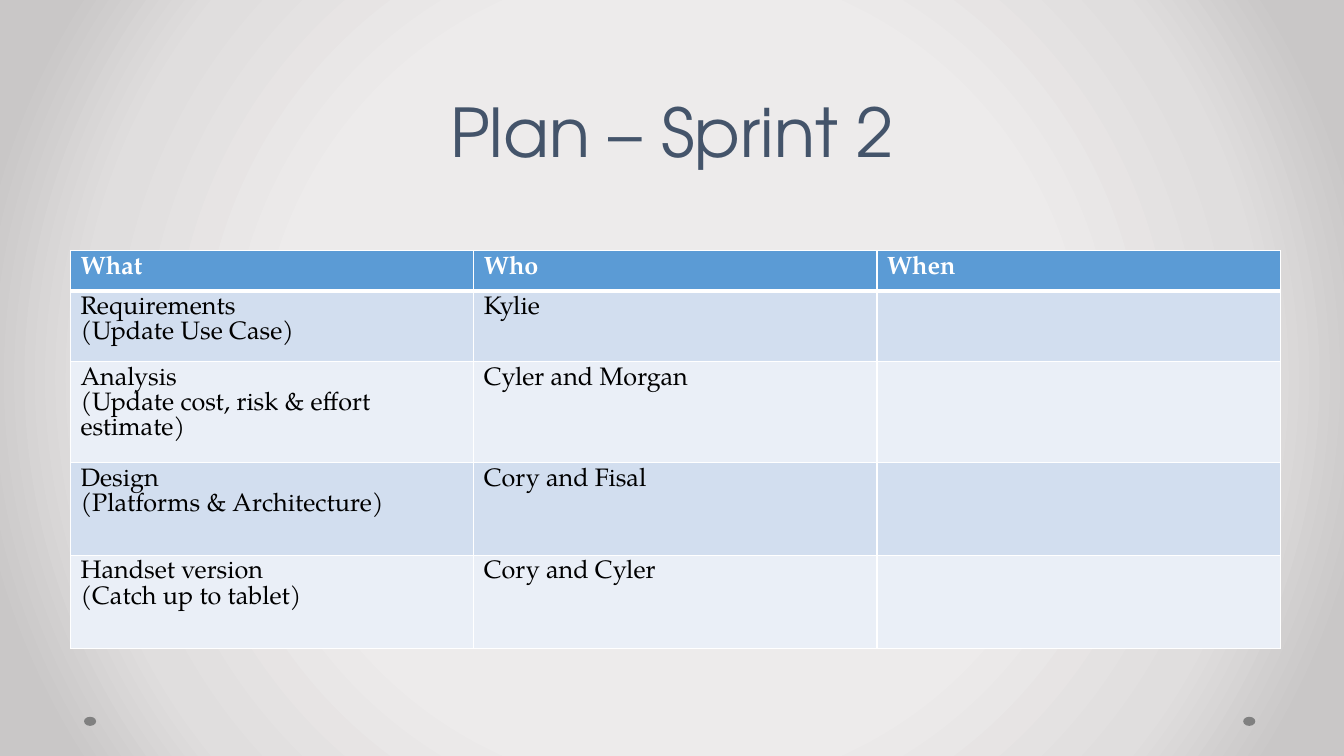
"""Build the sprint plan slide."""
import pptx
import pptx.dml.color
import pptx.enum.shapes
import pptx.enum.text
import pptx.oxml
import pptx.oxml.ns
import pptx.util

Pt = pptx.util.Pt
RGB = pptx.dml.color.RGBColor
WHITE = RGB(0xFF, 0xFF, 0xFF)
BLACK = RGB(0, 0, 0)
GRAY = RGB(0x80, 0x80, 0x80)
NAVY = RGB(0x44, 0x54, 0x6A)
BLUE = RGB(0x5B, 0x9B, 0xD5)
BANDS = (RGB(0xEA, 0xEF, 0xF7), RGB(0xD2, 0xDE, 0xEF))
GLOW = ((50, RGB(0xED, 0xEB, 0xEB)), (76, RGB(0xE0, 0xDE, 0xDE)),
        (92, RGB(0xC9, 0xC7, 0xC7)))
SPACE = pptx.oxml.ns.nsdecls("a", "p")

TITLE = {"name": "TeX Gyre Adventor", "size": Pt(48), "bold": False}
HEAD = {"name": "TeX Gyre Pagella", "size": Pt(18), "bold": True}
BODY = {**HEAD, "bold": False}

ROWS = (
    (26.64, ("What", "Who", "When")),
    (46.8, ("Requirements\n(Update Use Case)", "Kylie", "")),
    (66.96, ("Analysis\n(Update cost, risk & effort estimate)",
             "Cyler and Morgan", "")),
    (66.24, ("Design\n(Platforms & Architecture)", "Cory and Fisal", "")),
    (66.24, ("Handset version\n(Catch up to tablet)", "Cory and Cyler", "")),
)


def write(frame, text, style, color):
    """Put styled text into a frame."""
    frame.text = text
    for para in frame.paragraphs:
        for run in para.runs:
            for key, value in style.items():
                setattr(run.font, key, value)
            run.font.color.rgb = color


def add_glow(slide):
    """Set the round gradient behind the slide."""
    stops = "".join(
        f'<a:gs pos="{pos * 1000}"><a:srgbClr val="{color}"/></a:gs>'
        for pos, color in GLOW)
    back = pptx.oxml.parse_xml(
        f'<p:bg {SPACE}><p:bgPr><a:gradFill rotWithShape="1">'
        f'<a:gsLst>{stops}</a:gsLst><a:path path="circle">'
        '<a:fillToRect l="50000" t="50000" r="50000" b="50000"/></a:path>'
        '</a:gradFill><a:effectLst/></p:bgPr></p:bg>')
    slide.element.cSld.insert(0, back)


def add_dot(slide, left):
    """Draw one small dot at the foot."""
    dot = slide.shapes.add_shape(
        pptx.enum.shapes.MSO_SHAPE.OVAL, Pt(left), Pt(512), Pt(8.64), Pt(6.48))
    dot.shadow.inherit = False
    dot.fill.solid()
    dot.fill.fore_color.rgb = GRAY
    dot.line.fill.background()


def add_title(slide, text):
    """Add the centred slide title."""
    box = slide.shapes.add_textbox(Pt(48), Pt(0), Pt(864), Pt(126))
    frame = box.text_frame
    frame.word_wrap = True
    frame.vertical_anchor = pptx.enum.text.MSO_ANCHOR.BOTTOM
    write(frame, text, TITLE, NAVY)
    para = frame.paragraphs[0]
    para.alignment = pptx.enum.text.PP_ALIGN.CENTER
    para.line_spacing = Pt(48)


def add_edges(cell, widths):
    """Give a cell white borders."""
    props = cell._tc.get_or_add_tcPr()
    for spot, (side, width) in enumerate(widths.items()):
        props.insert(spot, pptx.oxml.parse_xml(
            f'<a:ln{side} {SPACE} w="{Pt(width)}"><a:solidFill>'
            f'<a:srgbClr val="{WHITE}"/></a:solidFill></a:ln{side}>'))


def add_plan(slide):
    """Add the table of tasks."""
    height = sum(size for size, _ in ROWS)
    table = slide.shapes.add_table(
        len(ROWS), 3, Pt(50.4), Pt(179.2), Pt(864), Pt(height)).table
    for row, (size, texts) in enumerate(ROWS):
        table.rows[row].height = Pt(size)
        style, color, fill = ((BODY, BLACK, BANDS[row % 2]) if row
                              else (HEAD, WHITE, BLUE))
        edges = {"L": 1, "R": 1, "T": 3 if row == 1 else 1,
                 "B": 1 if row else 3}
        for col, text in enumerate(texts):
            cell = table.cell(row, col)
            write(cell.text_frame, text, style, color)
            cell.fill.solid()
            cell.fill.fore_color.rgb = fill
            add_edges(cell, edges)


def main():
    """Build and save the deck."""
    deck = pptx.Presentation()
    deck.slide_width, deck.slide_height = Pt(960), Pt(540)
    slide = deck.slides.add_slide(deck.slide_layouts[6])
    add_glow(slide)
    for left in (888, 60):
        add_dot(slide, left)
    add_title(slide, "Plan – Sprint 2")
    add_plan(slide)
    deck.save("out.pptx")


if __name__ == "__main__":
    main()
